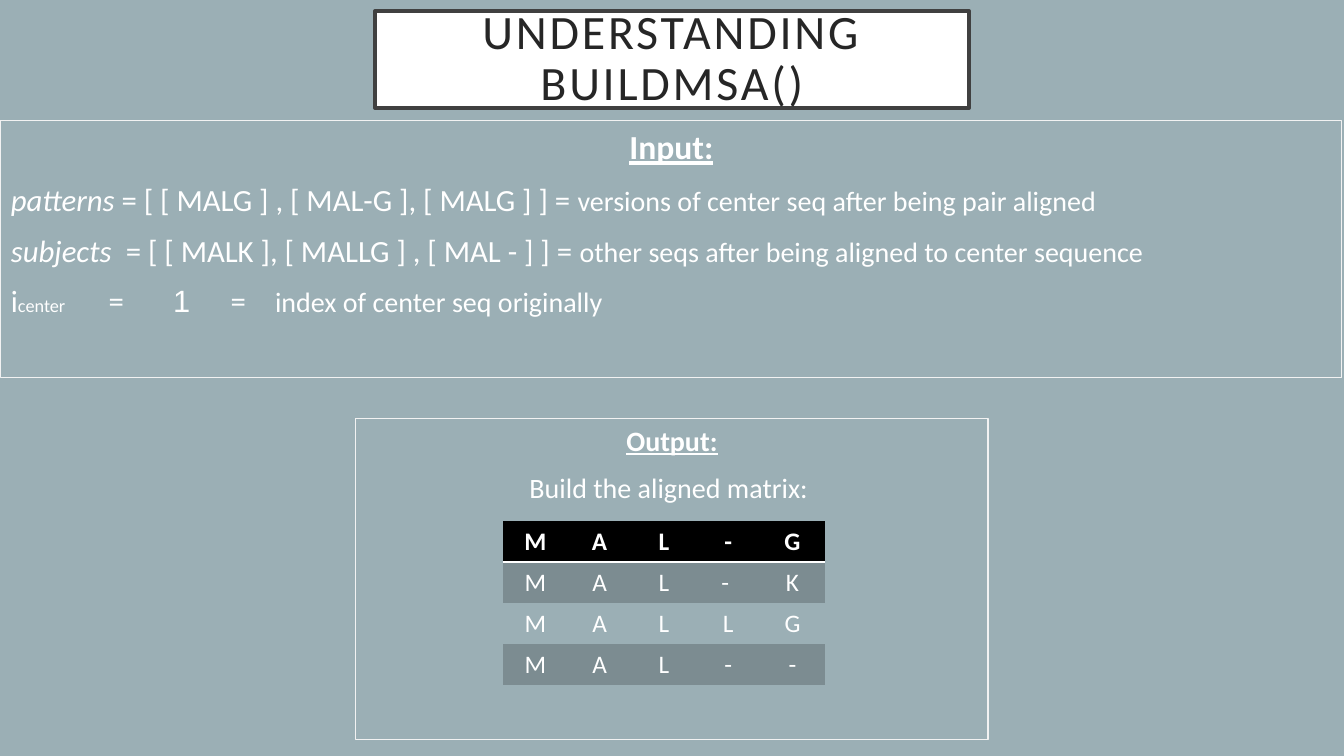
from dataclasses import dataclass, field
from typing import NamedTuple

from lxml import etree
from pptx import Presentation
from pptx.dml.color import RGBColor
from pptx.enum.shapes import MSO_SHAPE
from pptx.enum.text import MSO_ANCHOR, MSO_AUTO_SIZE, PP_ALIGN
from pptx.oxml.ns import qn
from pptx.util import Inches, Pt

LEFT, CENTER = PP_ALIGN.LEFT, PP_ALIGN.CENTER
TOP, MIDDLE = MSO_ANCHOR.TOP, MSO_ANCHOR.MIDDLE
NO_FIT = MSO_AUTO_SIZE.NONE
RECTANGLE = MSO_SHAPE.RECTANGLE
NO_TABLE_STYLE = "{2D5ABB26-0587-4C30-8999-92F81FD0307C}"


@dataclass(frozen=True)
class Theme:
    font: str = "Calibri"
    digit_font: str = "Arial"
    background: str = "9BAFB5"
    white: str = "FFFFFF"
    title_text: str = "262626"
    title_line: str = "404040"
    panel_line: str = "F2F2F2"
    header: str = "000000"
    band: str = "7C8C91"
    title: float = 34.2
    heading: float = 24
    code: float = 22
    body: float = 20
    cell: float = 18
    subscript: float = 13


THEME = Theme()


class Box(NamedTuple):
    left: float
    top: float
    width: float
    height: float


@dataclass(frozen=True)
class Span:
    text: str
    size: float = THEME.code
    style: dict = field(default_factory=dict)
    color: str = THEME.white


@dataclass(frozen=True)
class Para:
    spans: list[Span]
    align: PP_ALIGN = LEFT
    tabs: tuple[float, ...] = ()


@dataclass(frozen=True)
class Panel:
    box: Box
    paras: list[Para]


HEADING = {"bold": True, "underline": True}
ITALIC = {"italic": True}
DIGIT = {"name": THEME.digit_font}

TITLE_BOX = Box(3.72, 0.11, 5.89, 0.96)
TABLE_BOX = Box(4.99, 5.17, 3.19, 1.63)
ALIGNED_ROWS = [
    ["M", "A", "L", "-", "G"],
    ["M", "A", "L", "- ", "K"],
    ["M", "A", "L", "L", "G"],
    ["M", "A", "L", "-", "-"],
]
PANELS = [
    Panel(Box(0.01, 1.2, 13.3, 2.55), [
        Para([Span("Input:", THEME.heading, HEADING)], CENTER),
        Para([
            Span("patterns", style=ITALIC),
            Span(" = [ [ MALG ] , [ MAL-G ], [ MALG ] ] = "),
            Span("versions of center seq after being pair aligned", THEME.body),
        ]),
        Para([
            Span("subjects", style=ITALIC),
            Span("\t= [ [ MALK ], [ MALLG ] , [ MAL - ] ] = "),
            Span("other seqs after being aligned to center sequence", THEME.body),
        ], tabs=(1.14,)),
        Para([
            Span("i"),
            Span("center", THEME.subscript),
            Span("\t=\t"),
            Span("1", style=DIGIT),
            Span("\t=\t"),
            Span("index of center seq originally", THEME.body),
        ], tabs=(0.97, 1.61, 2.18, 2.62)),
    ]),
    Panel(Box(3.53, 4.15, 6.27, 3.19), [
        Para([Span("Output:", THEME.body, HEADING)], CENTER),
        Para([Span("Build the aligned matrix: ", THEME.body)], CENTER),
    ]),
]


def rgb(color: str) -> RGBColor:
    return RGBColor.from_string(color)


def set_attrs(target, values: dict) -> None:
    for name, value in values.items():
        setattr(target, name, value)


def place(sp, box: Box) -> None:
    set_attrs(sp, {name: Inches(v) for name, v in box._asdict().items()})


def outline(sp, color: str, width: float) -> None:
    sp.line.color.rgb = rgb(color)
    sp.line.width = Pt(width)


def add_span(p, span: Span) -> None:
    r = p.add_run()
    r.text = span.text
    set_attrs(r.font, {"name": THEME.font, "size": Pt(span.size), "bold": False, **span.style})
    r.font.color.rgb = rgb(span.color)


def write(tf, paras: list[Para], space: float = 0, line_spacing: float = 1.0) -> None:
    for i, para in enumerate(paras):
        p = tf.add_paragraph() if i else tf.paragraphs[0]
        set_attrs(p, {
            "alignment": para.align,
            "space_before": Pt(space),
            "line_spacing": line_spacing,
        })
        if para.tabs:
            tab_list = etree.SubElement(p._p.get_or_add_pPr(), qn("a:tabLst"))
            for pos in para.tabs:
                etree.SubElement(tab_list, qn("a:tab"), pos=str(Inches(pos)), algn="l")
        for span in para.spans:
            add_span(p, span)


def add_title(slide, text: str) -> None:
    sp = slide.shapes.title
    place(sp, TITLE_BOX)
    sp.fill.solid()
    sp.fill.fore_color.rgb = rgb(THEME.white)
    outline(sp, THEME.title_line, 3)
    tf = sp.text_frame
    set_attrs(tf, {
        "word_wrap": True, "auto_size": NO_FIT, "vertical_anchor": MIDDLE,
        "margin_left": Inches(0.3), "margin_right": Inches(0.3),
        "margin_top": Inches(0.2), "margin_bottom": Inches(0.2),
    })
    span = Span(text, THEME.title, color=THEME.title_text)
    write(tf, [Para([span], CENTER)], line_spacing=0.9)
    for props in sp.element.iter(qn("a:rPr")):
        props.set("spc", "200")


def add_panel(slide, panel: Panel) -> None:
    sp = slide.shapes.add_shape(RECTANGLE, *map(Inches, panel.box))
    sp.shadow.inherit = False
    sp.fill.background()
    outline(sp, THEME.panel_line, 0.75)
    set_attrs(sp.text_frame, {"word_wrap": True, "vertical_anchor": TOP})
    write(sp.text_frame, panel.paras, space=10)


def add_bottom_border(cell, color: str, width: float) -> None:
    ln = etree.Element(qn("a:lnB"), w=str(Pt(width)))
    fill = etree.SubElement(ln, qn("a:solidFill"))
    etree.SubElement(fill, qn("a:srgbClr"), val=color)
    cell._tc.get_or_add_tcPr().insert(0, ln)


def add_matrix(slide, rows: list[list[str]]) -> None:
    frame = slide.shapes.add_table(len(rows), len(rows[0]), *map(Inches, TABLE_BOX))
    for style in frame.element.iter(qn("a:tableStyleId")):
        style.text = NO_TABLE_STYLE
    fills = [THEME.header, THEME.band, THEME.background, THEME.band]
    for i, (letters, fill) in enumerate(zip(rows, fills)):
        for j, letter in enumerate(letters):
            cell = frame.table.cell(i, j)
            cell.fill.solid()
            cell.fill.fore_color.rgb = rgb(fill)
            span = Span(letter, THEME.cell, {"bold": i == 0})
            write(cell.text_frame, [Para([span], CENTER)])
            if i == 0:
                add_bottom_border(cell, THEME.white, 2)


prs = Presentation()
prs.slide_width, prs.slide_height = Inches(13.33), Inches(7.5)
slide = prs.slides.add_slide(prs.slide_layouts.get_by_name("Title Only"))
slide.background.fill.solid()
slide.background.fill.fore_color.rgb = rgb(THEME.background)
add_title(slide, "UNDERSTANDING BUILDMSA()")
for panel in PANELS:
    add_panel(slide, panel)
add_matrix(slide, ALIGNED_ROWS)
prs.save("out.pptx")
